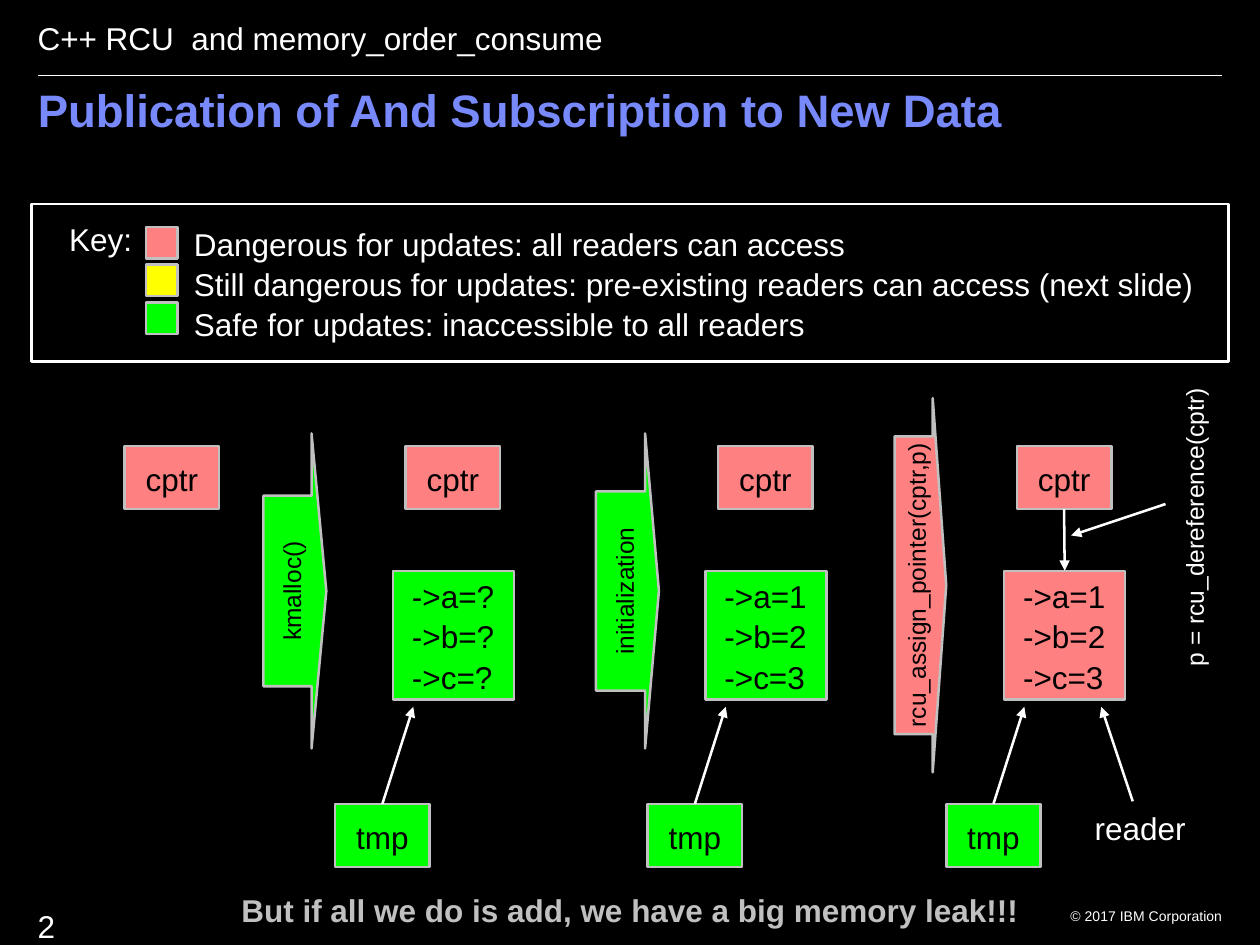
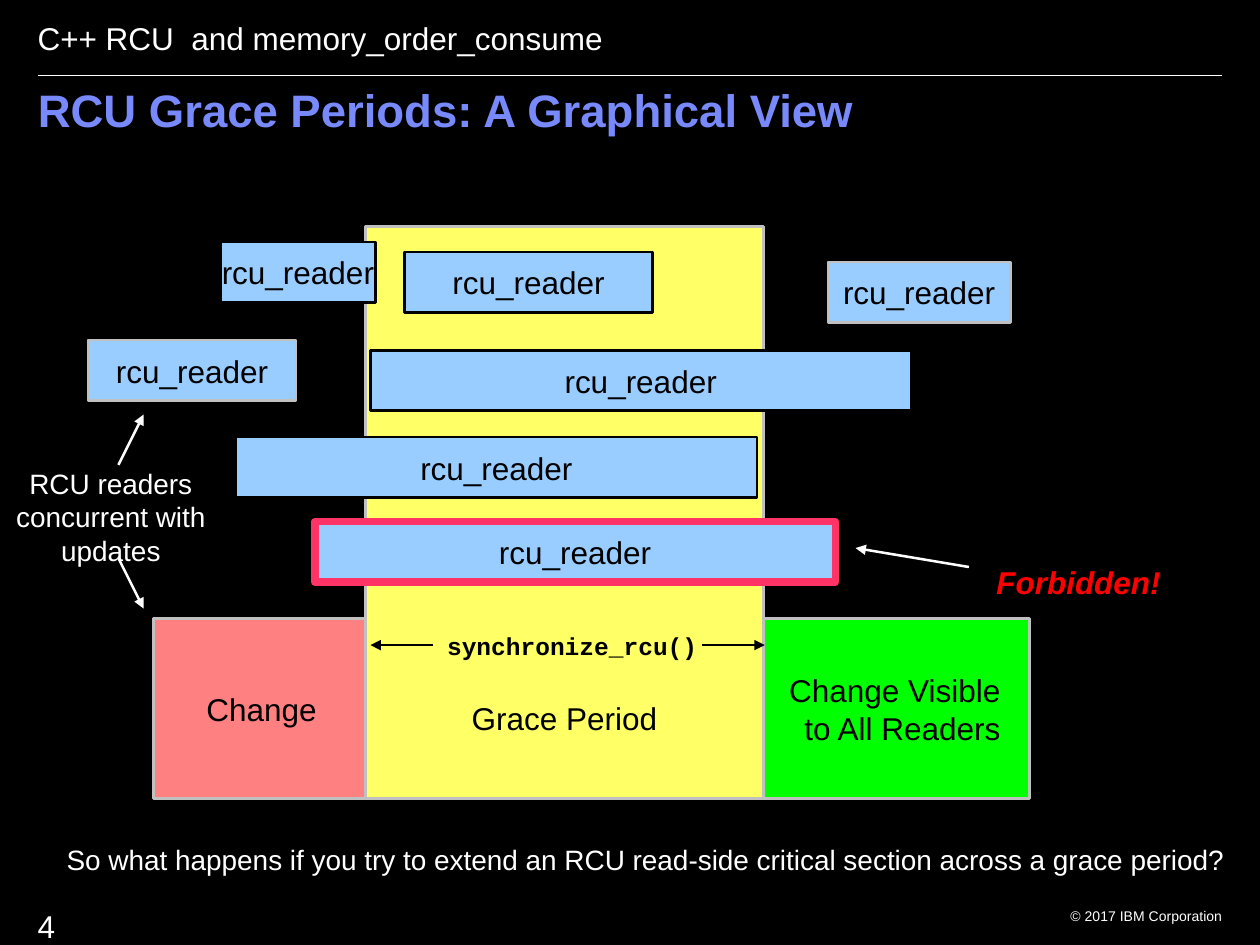
from lxml.etree import SubElement
from pptx import Presentation
from pptx.dml.color import RGBColor
from pptx.enum.shapes import MSO_CONNECTOR, MSO_SHAPE
from pptx.enum.text import MSO_ANCHOR, MSO_AUTO_SIZE, PP_ALIGN
from pptx.oxml.ns import qn
from pptx.util import Inches, Pt

# Shared look
BLACK, WHITE, GREY = "000000", "FFFFFF", "C0C0C0"
PINK, YELLOW, GREEN = "FF8080", "FFFF00", "00FF00"
PALE_YELLOW, SKY, CRIMSON, RED = "FFFF66", "99CCFF", "FF3366", "FF0000"
TITLE_BLUE = "7889FB"
FONT, CODE_FONT = "Arial", "Courier New"
LINE_WIDTH = 1.45
LEFT, CENTER, RIGHT = PP_ALIGN.LEFT, PP_ALIGN.CENTER, PP_ALIGN.RIGHT


def rgb(color):
    return RGBColor.from_string(color)


def write(tf, text, size=18, color=BLACK, align=LEFT, spacing=1.0,
          bold=False, italic=False, font=FONT):
    """Write one paragraph for each line of text."""
    for i, line in enumerate(text.split("\n")):
        p = tf.paragraphs[0] if i == 0 else tf.add_paragraph()
        p.alignment = align
        p.line_spacing = spacing
        r = p.add_run()
        r.text = line
        r.font.name = font
        r.font.size = Pt(size)
        r.font.bold = bold
        r.font.italic = italic
        r.font.color.rgb = rgb(color)


def set_margins(tf, left, top, right, bottom):
    tf.margin_left, tf.margin_top = Inches(left), Inches(top)
    tf.margin_right, tf.margin_bottom = Inches(right), Inches(bottom)


def add_label(s, text, x, y, w, h=0.4, wrap=True, rotation=0, **style):
    sp = s.shapes.add_textbox(Inches(x), Inches(y), Inches(w), Inches(h))
    sp.rotation = rotation
    tf = sp.text_frame
    tf.word_wrap = wrap
    set_margins(tf, 0.1, 0.05, 0.1, 0.05)
    write(tf, text, **{"color": WHITE, **style})


def add_box(s, x, y, w, h, fill=None, line=GREY, width=LINE_WIDTH, text="",
            kind=MSO_SHAPE.RECTANGLE, align=CENTER, left=0.01, right=0.01,
            bottom=0.01, anchor=MSO_ANCHOR.MIDDLE, **style):
    sp = s.shapes.add_shape(kind, Inches(x), Inches(y), Inches(w), Inches(h))
    sp.shadow.inherit = False
    if fill:
        sp.fill.solid()
        sp.fill.fore_color.rgb = rgb(fill)
    else:
        sp.fill.background()
    sp.line.color.rgb = rgb(line)
    sp.line.width = Pt(width)
    if text:
        tf = sp.text_frame
        tf.word_wrap = align != CENTER
        tf.vertical_anchor = anchor
        set_margins(tf, left, 0.01, right, bottom)
        write(tf, text, align=align, **style)
    return sp


def add_step_arrow(s, text, x, y, w, h, fill, shaft, head):
    """Block arrow pointing right, with its text reading upwards."""
    sp = add_box(s, x, y, w, h, fill, text=text, kind=MSO_SHAPE.DOWN_ARROW,
                 size=14, spacing=1.07)
    sp.rotation = 270
    sp.adjustments[0], sp.adjustments[1] = shaft, head


def add_line(s, x1, y1, x2, y2, color=WHITE, width=LINE_WIDTH, arrow=True):
    c = s.shapes.add_connector(MSO_CONNECTOR.STRAIGHT, Inches(x1), Inches(y1),
                               Inches(x2), Inches(y2))
    c.line.color.rgb = rgb(color)
    c.line.width = Pt(width)
    if arrow:
        SubElement(c.line._get_or_add_ln(), qn("a:tailEnd"), type="triangle")
    SubElement(c._element.spPr, qn("a:effectLst"))
    return c


def add_slide(prs, title, number):
    s = prs.slides.add_slide(prs.slide_layouts[5])
    # Header, rule and footer
    add_line(s, 0.3, 0.6, 9.7, 0.6, width=0.75, arrow=False)
    add_label(s, "C++ RCU  and memory_order_consume", 0.2, 0.1, 6)
    add_label(s, "© 2017 IBM Corporation", 8.3, 7.15, 1.5, 0.2,
              size=8, align=RIGHT)
    add_label(s, number, 0.2, 7.15, 0.95)
    # Title
    sp = s.shapes.title
    sp.left, sp.top = Inches(0.2), Inches(0.65)
    sp.width, sp.height = Inches(9.5), Inches(0.7)
    tf = sp.text_frame
    tf.auto_size = MSO_AUTO_SIZE.NONE
    tf.vertical_anchor = MSO_ANCHOR.TOP
    set_margins(tf, 0.1, 0.05, 0.1, 0.05)
    write(tf, title, 26, TITLE_BLUE, spacing=0.9, bold=True)
    return s


def add_key(s):
    add_label(s, "Key:", 0.45, 1.7, 0.9)
    entries = [
        (PINK, "Dangerous for updates: all readers can access"),
        (YELLOW, "Still dangerous for updates: pre-existing readers"
                 " can access (next slide)"),
        (GREEN, "Safe for updates: inaccessible to all readers"),
    ]
    for i, (color, meaning) in enumerate(entries):
        add_box(s, 1.16, 1.8 + 0.3 * i, 0.25, 0.25, color)
        add_label(s, meaning, 1.44, 1.74 + 0.315 * i, 8.4)
    add_box(s, 0.25, 1.62, 9.5, 1.25, line=WHITE)


def add_state(s, x, fields="", data_color=GREEN):
    """One stage: cptr, and below it the new data with its tmp pointer."""
    cptr = add_box(s, x, 3.54, 0.75, 0.5, PINK, text="cptr", spacing=1.07)
    if not fields:
        return cptr, None
    data = add_box(s, x - 0.1, 4.53, 0.96, 1.02, data_color, text=fields,
                   align=LEFT, left=0.15, spacing=1.07)
    tmp = add_box(s, x - 0.56, 6.38, 0.75, 0.5, GREEN, text="tmp",
                  spacing=1.07)
    add_line(s, x - 0.18, 6.36, x + 0.06, 5.61).begin_connect(tmp, 0)
    return cptr, data


def build_publication(prs):
    s = add_slide(prs, "Publication of And Subscription to New Data", "2")
    add_key(s)

    # Stages from left to right
    filled = "->a=1\n->b=2\n->c=3"
    add_state(s, 0.99)
    add_state(s, 3.22, "->a=?\n->b=?\n->c=?")
    add_state(s, 5.7, filled)
    cptr, data = add_state(s, 8.07, filled, PINK)
    link = add_line(s, 8.44, 4.04, 8.44, 4.53)
    link.begin_connect(cptr, 2)
    link.end_connect(data, 0)

    # Steps between the stages
    add_step_arrow(s, "kmalloc()", 1.09, 4.44, 2.5, 0.5, GREEN, 0.605, 0.234)
    add_step_arrow(s, "initialization", 3.73, 4.44, 2.5, 0.5, GREEN,
                   0.632, 0.219)
    add_step_arrow(s, "rcu_assign_pointer(cptr,p)", 5.82, 4.44, 2.97, 0.41,
                   PINK, 0.796, 0.262)

    # Reader side
    add_label(s, "p = rcu_dereference(cptr)", 8.26, 4.01, 2.42, 0.35,
              wrap=False, rotation=270, size=14, align=CENTER, spacing=1.07)
    add_line(s, 9.25, 4, 8.5, 4.25)
    add_label(s, "reader", 8.59, 6.37, 1.2)
    add_line(s, 8.99, 6.36, 8.74, 5.61)

    add_label(s, "But if all we do is add, we have a big memory leak!!!",
              1.76, 7.02, 6.48, color=GREY, bold=True, align=CENTER)


def build_grace_periods(prs):
    s = add_slide(prs, "RCU Grace Periods: A Graphical View", "4")

    # Phases of the update
    add_box(s, 6.04, 4.91, 2.13, 1.43, GREEN, align=RIGHT, right=0.23,
            text="Change Visible\nto All Readers")
    add_box(s, 1.22, 4.91, 1.71, 1.43, PINK, text="Change")
    add_box(s, 2.9, 1.8, 3.16, 4.54, PALE_YELLOW, text="Grace Period",
            anchor=MSO_ANCHOR.BOTTOM, bottom=0.49)

    # Readers: left, top, width, outline, outline width
    readers = [
        (0.7, 2.7, 1.65, GREY, LINE_WIDTH),
        (3.21, 2, 1.97, BLACK, LINE_WIDTH),
        (1.87, 3.47, 4.14, BLACK, LINE_WIDTH),
        (2.5, 4.14, 4.13, CRIMSON, 4.31),
        (2.94, 2.78, 4.29, BLACK, LINE_WIDTH),
        (6.57, 2.08, 1.45, GREY, LINE_WIDTH),
        (1.75, 1.92, 1.23, BLACK, LINE_WIDTH),
    ]
    for x, y, w, line, width in readers:
        add_box(s, x, y, w, 0.48, SKY, line, width, "rcu_reader")

    # Remarks with their arrows
    add_label(s, "Forbidden!", 7.81, 4.42, 1.8, color=RED, bold=True,
              italic=True)
    add_line(s, 7.69, 4.5, 6.79, 4.35)
    add_label(s, "RCU readers concurrent with updates", -0.02, 3.65, 1.8, 0.9,
              size=16, align=CENTER)
    add_line(s, 0.94, 3.69, 1.14, 3.29)
    add_line(s, 0.94, 4.43, 1.14, 4.83)

    # Extent of the grace period
    add_label(s, "synchronize_rcu()", 3.45, 4.96, 2.4, 0.33, size=14,
              color=BLACK, bold=True, font=CODE_FONT)
    for start, end in [(3.44, 2.94), (5.57, 6.07)]:
        add_line(s, start, 5.12, end, 5.12, BLACK)

    add_label(s, "So what happens if you try to extend an RCU read-side "
              "critical section across a grace period?",
              0.43, 6.64, 9.55, 0.37, size=16)


def main():
    prs = Presentation()
    prs.slide_width, prs.slide_height = Inches(10), Inches(7.5)
    background = prs.slide_master.background.fill
    background.solid()
    background.fore_color.rgb = rgb(BLACK)
    build_publication(prs)
    build_grace_periods(prs)
    prs.save("out.pptx")


if __name__ == "__main__":
    main()
